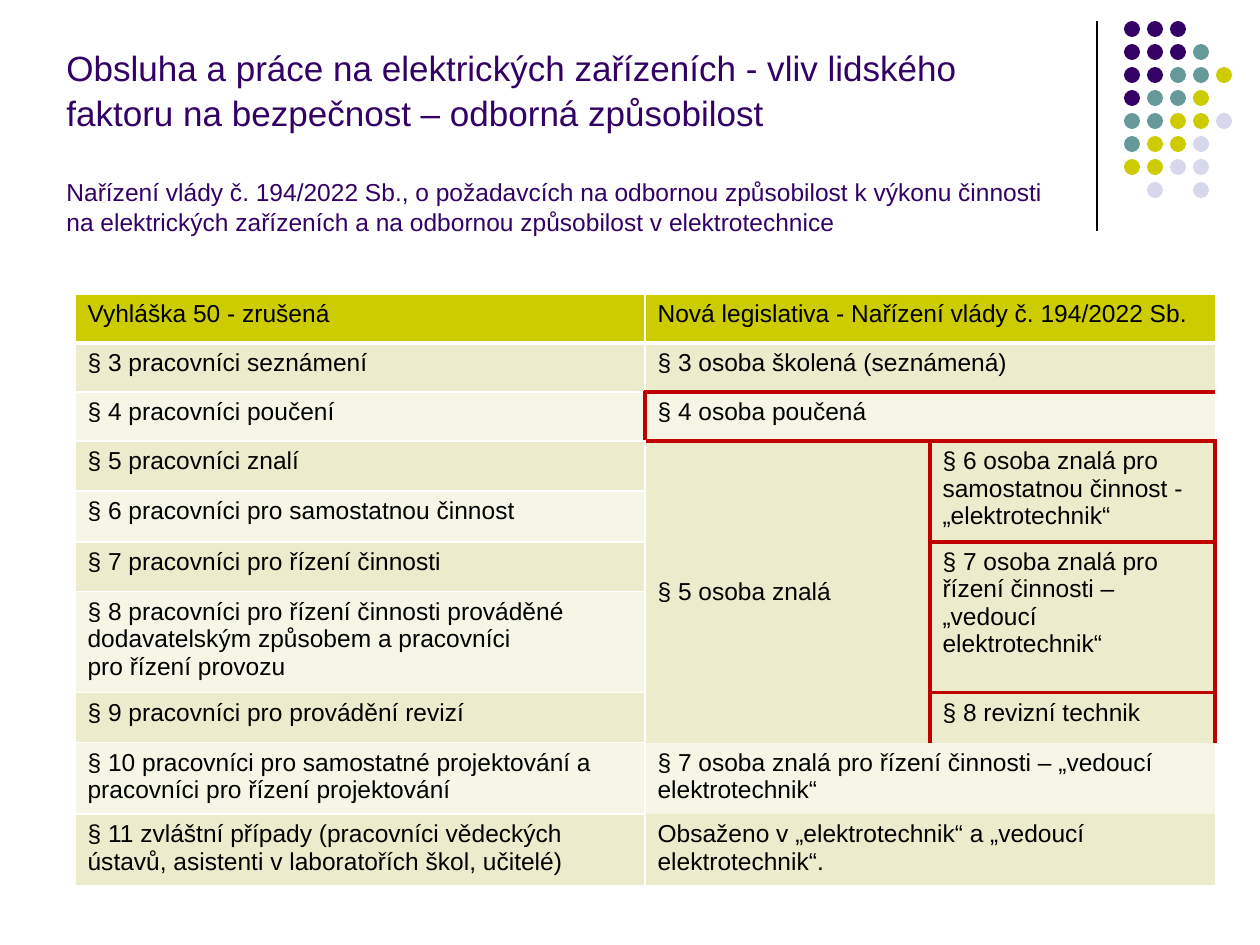
from lxml.etree import SubElement
from pptx import Presentation
from pptx.dml.color import RGBColor
from pptx.enum.shapes import MSO_CONNECTOR as CONNECTOR, MSO_SHAPE as SHAPE
from pptx.enum.text import MSO_ANCHOR as ANCHOR
from pptx.oxml.ns import qn
from pptx.util import Pt

PX = 914400 // 126
FONT = "Arial"
BLACK = RGBColor(0x00, 0x00, 0x00)
WHITE = RGBColor(0xFF, 0xFF, 0xFF)
PURPLE = RGBColor(0x33, 0x00, 0x66)
TEAL = RGBColor(0x66, 0x99, 0x99)
OLIVE = RGBColor(0xCC, 0xCC, 0x00)
LAVENDER = RGBColor(0xD8, 0xD8, 0xEC)
BAND_DARK = RGBColor(0xEC, 0xEC, 0xCC)
BAND_LIGHT = RGBColor(0xF6, 0xF6, 0xE7)
RED = RGBColor(0xC0, 0x00, 0x00)

# Content: title paragraphs as text, size, space before
TITLE = [
    ("Obsluha a práce na elektrických zařízeních - vliv lidského faktoru "
     "na bezpečnost – odborná způsobilost", 20, 0),
    ("Nařízení vlády č. 194/2022 Sb., o požadavcích na odbornou způsobilost "
     "k výkonu činnosti na elektrických zařízeních a na odbornou způsobilost "
     "v elektrotechnice", 14, 24),
]
OLD_RULES = [
    "Vyhláška 50 - zrušená",
    "§ 3 pracovníci seznámení",
    "§ 4 pracovníci poučení",
    "§ 5 pracovníci znalí",
    "§ 6 pracovníci pro samostatnou činnost",
    "§ 7 pracovníci pro řízení činnosti",
    "§ 8 pracovníci pro řízení činnosti prováděné dodavatelským způsobem "
    "a pracovníci\vpro řízení provozu",
    "§ 9 pracovníci pro provádění revizí",
    "§ 10 pracovníci pro samostatné projektování a pracovníci pro řízení projektování",
    "§ 11 zvláštní případy (pracovníci vědeckých ústavů, asistenti "
    "v laboratořích škol, učitelé)",
]
# Row, column, row span, column span, text, sides outlined in red
NEW_RULES = [
    (0, 1, 1, 2, "Nová legislativa - Nařízení vlády č. 194/2022 Sb.", ""),
    (1, 1, 1, 2, "§ 3 osoba školená (seznámená)", ""),
    (2, 1, 1, 2, "§ 4 osoba poučená", "LRTB"),
    (3, 1, 5, 1, "§ 5 osoba znalá", ""),
    (3, 2, 2, 1, "§ 6 osoba znalá pro samostatnou činnost - „elektrotechnik“", "LRTB"),
    (5, 2, 2, 1, "§ 7 osoba znalá pro řízení činnosti – „vedoucí elektrotechnik“", "LRTB"),
    (7, 2, 1, 1, "§ 8 revizní technik", "LRT"),
    (8, 1, 1, 2, "§ 7 osoba znalá pro řízení činnosti – „vedoucí elektrotechnik“", ""),
    (9, 1, 1, 2, "Obsaženo v „elektrotechnik“ a „vedoucí elektrotechnik“.", ""),
]
BLOCKS = [(row, 0, 1, 1, text, "") for row, text in enumerate(OLD_RULES)] + NEW_RULES
COLUMN_WIDTHS = [570, 285, 285]
ROW_HEIGHTS = [49, 49, 49, 50, 49, 50, 95, 50, 71, 71]
DOTS = ["PPP", "PPPT", "PPTTO", "PTTO", "TTOOL", "TOOL", "OOLL", " L L"]
DOT_COLOURS = {"P": PURPLE, "T": TEAL, "O": OLIVE, "L": LAVENDER}


def px(*lengths):
    return [length * PX for length in lengths]


def style(para, size, colour):
    for span in para.runs:
        span.font.name = FONT
        span.font.size = Pt(size)
        span.font.color.rgb = colour


def block_edges(row, col, rows, cols):
    """Yield (side, edge) round a block; an edge is (direction, row, column)."""
    for r in range(row, row + rows):
        yield "L", ("v", r, col)
        yield "R", ("v", r, col + cols)
    for c in range(col, col + cols):
        yield "T", ("h", row, c)
        yield "B", ("h", row + rows, c)


def table_edges():
    edges = {}
    for row, col, rows, cols, _, _ in BLOCKS:
        for _, edge in block_edges(row, col, rows, cols):
            edges[edge] = (WHITE, 1)
    for col in range(3):
        edges["h", 1, col] = (WHITE, 3)
    for row in (8, 9):  # the last rows on the right meet without a line
        for col in (1, 2):
            del edges["h", row, col]
    for row, col, rows, cols, _, red_sides in BLOCKS:
        for side, edge in block_edges(row, col, rows, cols):
            if side in red_sides:
                edges[edge] = (RED, 2.25)
    return edges


def set_borders(cell, row, col, edges):
    properties = cell._tc.get_or_add_tcPr()
    sides = {"L": ("v", row, col), "R": ("v", row, col + 1),
             "T": ("h", row, col), "B": ("h", row + 1, col)}
    for side, edge in sides.items():
        line = SubElement(properties, qn("a:ln" + side))
        if edge not in edges:
            line.set("w", "0")
            SubElement(line, qn("a:noFill"))
            continue
        colour, width = edges[edge]
        line.set("w", str(Pt(width)))
        fill = SubElement(line, qn("a:solidFill"))
        SubElement(fill, qn("a:srgbClr")).set("val", str(colour))


def add_decoration(page):
    line = page.shapes.add_connector(CONNECTOR.STRAIGHT, *px(1097, 21, 1097, 231))
    line.line.color.rgb = BLACK
    line.line.width = Pt(0.75)
    SubElement(line._element.spPr, qn("a:effectLst"))
    group = page.shapes.add_group_shape()
    for row, pattern in enumerate(DOTS):
        for col, key in enumerate(pattern):
            if key == " ":
                continue
            dot = group.shapes.add_shape(
                SHAPE.OVAL, *px(1124 + 23 * col, 21 + 23 * row, 16, 16))
            dot.shadow.inherit = False
            dot.fill.solid()
            dot.fill.fore_color.rgb = DOT_COLOURS[key]
            dot.line.fill.background()


def add_title(page):
    frame = page.shapes.add_textbox(*px(54, 44, 1032, 199)).text_frame
    frame.word_wrap = True
    frame.vertical_anchor = ANCHOR.BOTTOM
    for number, (text, size, space) in enumerate(TITLE):
        para = frame.add_paragraph() if number else frame.paragraphs[0]
        para.text = text
        para.line_spacing = 1.05
        if space:
            para.space_before = Pt(space)
        style(para, size, PURPLE)


def add_rules_table(page):
    table = page.shapes.add_table(
        len(ROW_HEIGHTS), len(COLUMN_WIDTHS),
        *px(75, 294, sum(COLUMN_WIDTHS), sum(ROW_HEIGHTS))).table
    for column, width in zip(table.columns, COLUMN_WIDTHS):
        column.width = width * PX
    for row, height in zip(table.rows, ROW_HEIGHTS):
        row.height = height * PX

    edges = table_edges()
    for row, col, rows, cols, text, _ in BLOCKS:
        origin = table.cell(row, col)
        if rows * cols > 1:
            origin.merge(table.cell(row + rows - 1, col + cols - 1))
        origin.text_frame.text = text
        style(origin.text_frame.paragraphs[0], 14, BLACK)
        if rows == 5:
            origin.vertical_anchor = ANCHOR.MIDDLE
        colour = OLIVE if row == 0 else BAND_DARK if row % 2 else BAND_LIGHT
        for r in range(row, row + rows):
            for c in range(col, col + cols):
                cell = table.cell(r, c)
                set_borders(cell, r, c, edges)
                cell.fill.solid()
                cell.fill.fore_color.rgb = colour


def main():
    deck = Presentation()
    deck.slide_width, deck.slide_height = px(1260, 945)
    page = deck.slides.add_slide(deck.slide_layouts[6])
    add_decoration(page)
    add_title(page)
    add_rules_table(page)
    deck.save("out.pptx")


if __name__ == "__main__":
    main()
